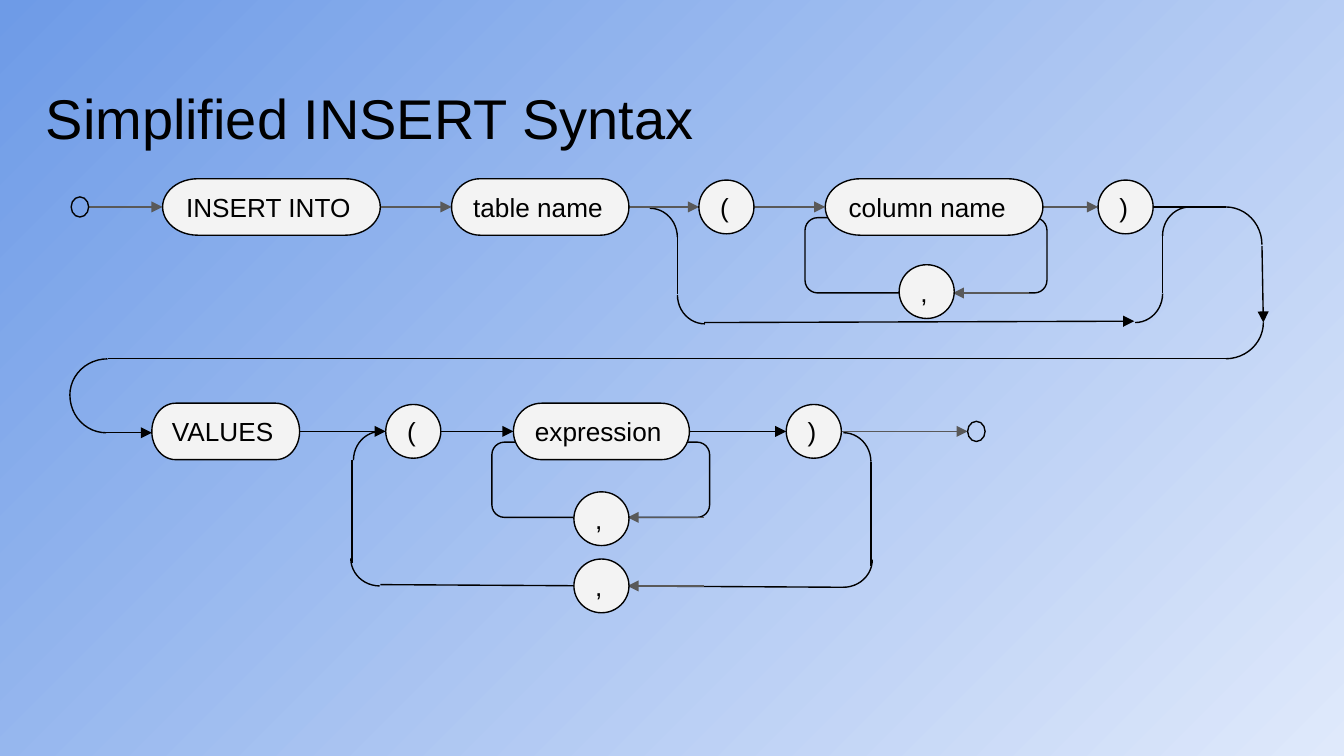
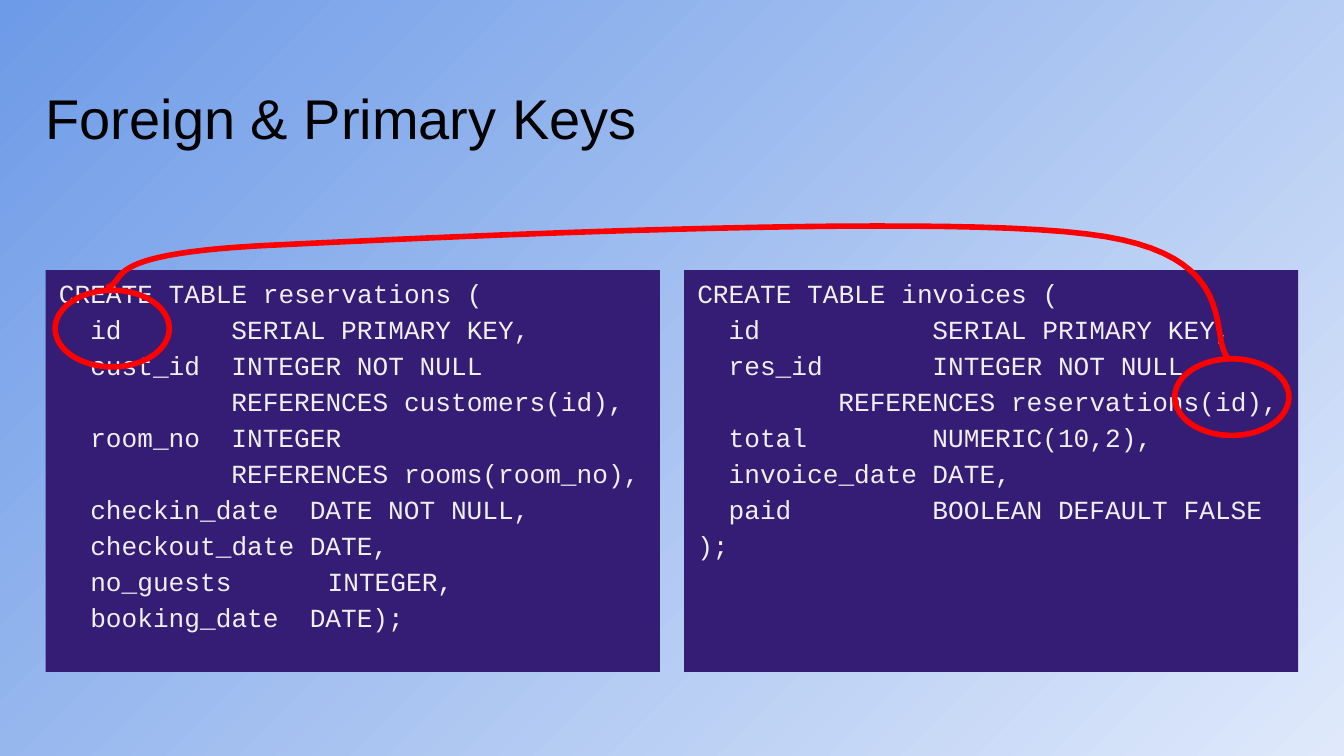
from itertools import pairwise

from lxml.etree import SubElement as Sub
from pptx import Presentation
from pptx.dml.color import RGBColor as Rgb
from pptx.enum.shapes import MSO_CONNECTOR as Link, MSO_SHAPE as Geo
from pptx.enum.text import MSO_ANCHOR as Anchor, PP_ALIGN as Align
from pptx.oxml.ns import qn
from pptx.util import Cm, Pt

HUES = {"ink": "000000", "grey": "595959", "node": "F3F3F3", "panel": "351C75",
        "code": "EFEFEF", "mark": "FF0000", "pale": "DFE9FB", "sky": "6E9BE7"}
SANS, MONO = "Arial", "Courier New"
THIN = 0.75
CHAR = 8.4 / 72  # width of one code letter, inches

# Rails of the syntax diagram, and its nodes as (left, width, text)
TOP, LOW = 1.54, 3.21
DOT, RING = 0.13, 0.41
HEAD = [(0.53, DOT, ""), (1.21, 1.62, "INSERT INTO"), (3.36, 1.32, "table name"),
        (5.2, RING, "("), (6.14, 1.62, "column name"), (8.17, RING, ")")]
TAIL = [(1.13, 1.1, "VALUES"), (2.87, RING, "("), (3.82, 1.31, "expression"),
        (5.85, RING, ")"), (7.2, DOT, "")]
COMMAS = [(6.69, 2.17), (4.27, 3.86), (4.27, 4.36)]  # left, middle

# Corners as (left, top, width, height, turn, flip)
BIG, SMALL = (0.54, 0.56), (0.41, 0.43)
BENDS = [
    (8.85, 1.54, *BIG, 0, False), (8.85, 2.12, *BIG, 90, False),
    (0.53, 2.66, *BIG, 270, False), (0.52, 2.66, *BIG, 180, False),
    (6.07, 3.22, *SMALL, 0, False), (6.07, 3.95, *SMALL, 90, False),
    (2.63, 3.21, *SMALL, 0, True), (2.62, 3.94, *SMALL, 270, True),
    (4.63, 1.55, *SMALL, 0, False), (5.04, 1.98, *SMALL, 180, False),
    (8.65, 1.54, *SMALL, 0, True), (8.24, 1.97, *SMALL, 180, True),
]
# Plain rails and arrows as (x1, y1, x2, y2)
RAILS = [(9.12, 2.67, 0.8, 2.67), (6.48, 3.44, 6.48, 4.21), (2.62, 3.42, 2.62, 4.19),
         (2.83, 4.35, 6.28, 4.37), (8.58, TOP, 9.12, TOP),
         (5.04, 1.76, 5.04, 2.19), (8.65, 1.75, 8.65, 2.18)]
ARROWS = [(9.39, 1.83, 9.4, 2.4), (0.79, 3.22, 1.13, 3.22), (5.24, 2.4, 8.44, 2.39)]
BACKS = [(7.66, 2.18, 7.09, 2.18), (5.24, 3.85, 4.67, 3.85), (5.24, 4.36, 4.67, 4.36)]

# Code lines as (text, tab stops in letters)
STAYS = [
    ("CREATE TABLE reservations (", ()),
    ("\tid\tSERIAL PRIMARY KEY,", (2, 11)),
    ("\tcust_id\tINTEGER NOT NULL", (2, 11)),
    ("\tREFERENCES customers(id),", (11,)),
    ("\troom_no\tINTEGER", (2, 11)),
    ("\tREFERENCES rooms(room_no),", (11,)),
    ("\tcheckin_date\tDATE NOT NULL,", (2, 16)),
    ("\tcheckout_date\tDATE,", (2, 16)),
    ("\tno_guests\tINTEGER,", (2, 17.14)),
    ("\tbooking_date\tDATE);", (2, 16)),
]
BILLS = [
    ("CREATE TABLE invoices (", ()),
    ("\tid\tSERIAL PRIMARY KEY,", (2, 15)),
    ("\tres_id\tINTEGER NOT NULL", (2, 15)),
    ("\tREFERENCES reservations(id),", (9,)),
    ("\ttotal\tNUMERIC(10,2),", (2, 15)),
    ("\tinvoice_date\tDATE,", (2, 15)),
    ("\tpaid\tBOOLEAN DEFAULT FALSE", (2, 15)),
    (");", ()),
]
# Key link: start point, then two handles and an end for each curve
CURVE = [(9.15, 2.68), (8.97, 2.52), (9.29, 1.88), (8.08, 1.74), (6.87, 1.59),
         (3.13, 1.77), (1.91, 1.83), (0.7, 1.9), (0.97, 2.09), (0.79, 2.14)]


def inch(num):
    return Cm(num * 2.54)


def hue(name):
    return Rgb.from_string(HUES[name])


def style(par, face, size, tint):
    par.alignment = Align.LEFT
    par.font.name, par.font.size = face, Pt(size)
    par.font.color.rgb = hue(tint)


def frame(shape, pads, anchor):
    text = shape.text_frame
    text.word_wrap, text.vertical_anchor = True, anchor
    (text.margin_left, text.margin_top,
     text.margin_right, text.margin_bottom) = map(inch, pads)
    return text


def paint(shape, fill=None, line=None, width=THIN):
    shape.shadow.inherit = False
    if fill:
        shape.fill.solid()
        shape.fill.fore_color.rgb = hue(fill)
    else:
        shape.fill.background()
    if line:
        shape.line.color.rgb, shape.line.width = hue(line), Pt(width)
    else:
        shape.line.fill.background()


def block(slide, geo, box, **look):
    shape = slide.shapes.add_shape(geo, *map(inch, box))
    paint(shape, **look)
    return shape


def rail(slide, ends, tint="ink", arrow=False):
    line = slide.shapes.add_connector(Link.STRAIGHT, *map(inch, ends))
    line.line.color.rgb, line.line.width = hue(tint), Pt(THIN)
    props = line._element.spPr
    if arrow:
        Sub(props.find(qn("a:ln")), qn("a:tailEnd"), type="triangle")
    Sub(props, qn("a:effectLst"))


def bend(slide, left, top, wide, high, turn, flip):
    arc = block(slide, Geo.ARC, (left, top, wide, high), line="ink")
    arc.rotation = turn
    if flip:
        arc._element.spPr.find(qn("a:xfrm")).set("flipH", "1")


def node(slide, left, mid, wide, text):
    high = {DOT: 0.15, RING: 0.4}.get(wide, 0.42)
    geo = Geo.OVAL if wide in (DOT, RING) else Geo.FLOWCHART_TERMINATOR
    shape = block(slide, geo, (left, mid - high / 2, wide, high),
                  fill="node" if text else None, line="ink")
    if text:
        par = frame(shape, (0.1, 0.2, 0.1, 0.2), Anchor.MIDDLE).paragraphs[0]
        par.text = text
        style(par, SANS, 14, "ink")


def chain(slide, nodes, mid, tints):
    for (one, two), tint in zip(pairwise(nodes), tints):
        rail(slide, (one[0] + one[1], mid, two[0], mid), tint, True)
    for left, wide, text in nodes:
        node(slide, left, mid, wide, text)


def panel(slide, left, lines):
    shape = block(slide, Geo.RECTANGLE, (left, 2.01, 4.57, 2.99), fill="panel")
    text = frame(shape, (0.1, 0.02, 0.1, 0.1), Anchor.TOP)
    for num, (line, stops) in enumerate(lines):
        par = text.add_paragraph() if num else text.paragraphs[0]
        par.text, par.line_spacing = line, 1.15
        if stops:
            tabs = Sub(par._p.get_or_add_pPr(), qn("a:tabLst"))
            for stop in stops:
                Sub(tabs, qn("a:tab"), pos=str(int(inch(stop * CHAR))), algn="l")
        style(par, MONO, 14, "code")


def cubic(pts, t):
    weights = ((1 - t) ** 3, 3 * t * (1 - t) ** 2, 3 * t * t * (1 - t), t ** 3)
    return tuple(inch(sum(w * p[axis] for w, p in zip(weights, pts))) for axis in (0, 1))


def curve(slide, pts, steps=24):
    dots = [cubic(pts[i:i + 4], n / steps)
            for i in range(0, len(pts) - 1, 3) for n in range(1, steps + 1)]
    path = slide.shapes.build_freeform(*map(inch, pts[0]))
    path.add_line_segments(dots, close=False)
    paint(path.convert_to_shape(), line="mark", width=3)


def page(deck, title):
    slide = deck.slides.add_slide(deck.slide_layouts[6])
    box = slide.shapes.add_textbox(*map(inch, (0.34, 0.49, 9.32, 0.63)))
    par = frame(box, (0, 0.13, 0, 0), Anchor.TOP).paragraphs[0]
    par.text = title
    style(par, SANS, 30, "ink")
    return slide


def syntax(deck):
    slide = page(deck, "Simplified INSERT Syntax")
    # Repeat loops behind the nodes
    for box in ((5.99, 1.62, 1.8, 0.56), (3.66, 3.29, 1.62, 0.56)):
        block(slide, Geo.FLOWCHART_ALTERNATE_PROCESS, box, line="ink")
    # Rails
    for item in BENDS:
        bend(slide, *item)
    for ends in RAILS:
        rail(slide, ends)
    for ends in ARROWS:
        rail(slide, ends, arrow=True)
    for ends in BACKS:
        rail(slide, ends, "grey", True)
    # Nodes
    chain(slide, HEAD, TOP, ["grey"] * 5)
    chain(slide, TAIL, LOW, ["ink"] * 3 + ["grey"])
    for left, mid in COMMAS:
        node(slide, left, mid, RING, ",")


def keys(deck):
    slide = page(deck, "Foreign & Primary Keys")
    panel(slide, 0.34, STAYS)
    panel(slide, 5.09, BILLS)
    # Rings round the linked keys
    for left, top in ((0.41, 2.16), (8.74, 2.67)):
        block(slide, Geo.OVAL, (left, top, 0.85, 0.57), line="mark", width=3)
    curve(slide, CURVE)


def main():
    deck = Presentation()
    deck.slide_width, deck.slide_height = inch(10), inch(5.625)
    # Shared background
    back = deck.slide_master.background.fill
    back.gradient()
    back.gradient_angle = 135
    for stop, name in zip(back.gradient_stops, ("pale", "sky")):
        stop.color.rgb = hue(name)
    syntax(deck)
    keys(deck)
    deck.save("out.pptx")


main()
